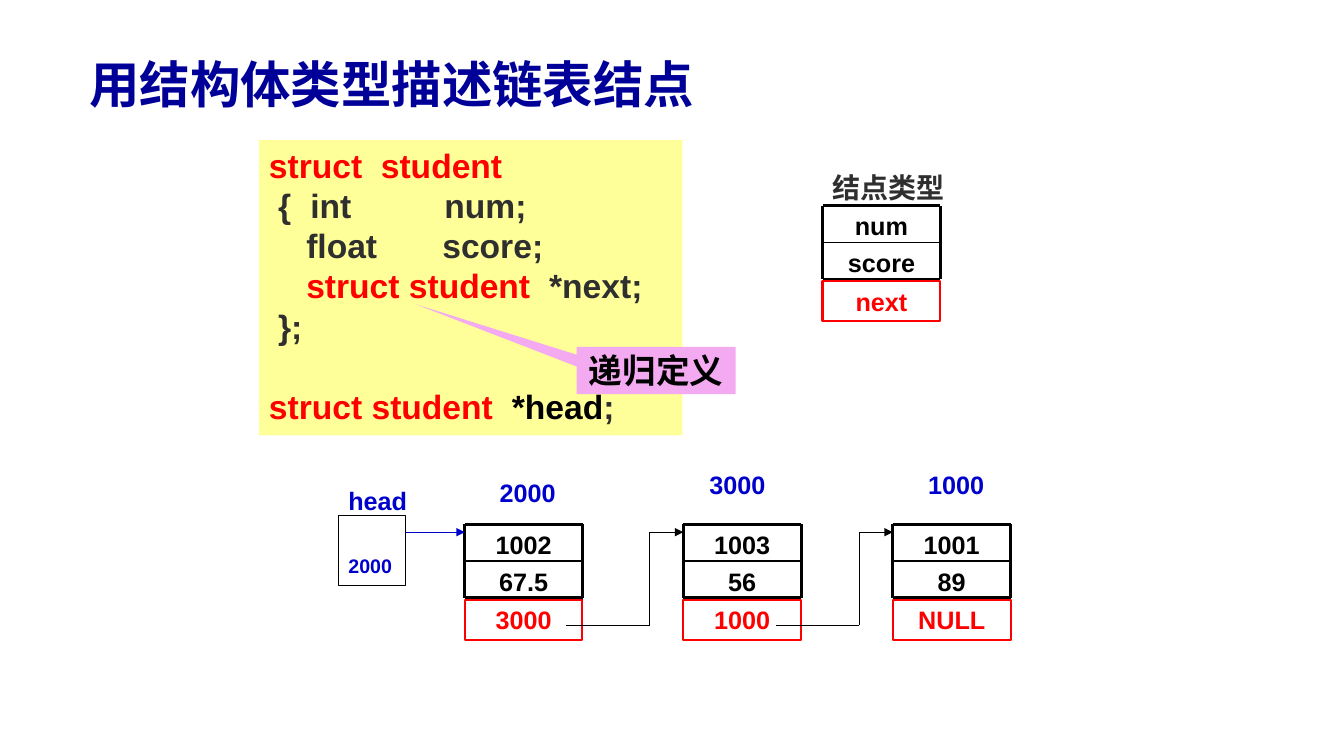
import pptx
import pptx.util
import pptx.dml.color
import pptx.enum.shapes
import pptx.enum.text
import pptx.oxml.ns
import lxml.etree

Cm = pptx.util.Cm
Pt = pptx.util.Pt
RGBColor = pptx.dml.color.RGBColor
Shape = pptx.enum.shapes.MSO_SHAPE
Anchor = pptx.enum.text.MSO_ANCHOR
Align = pptx.enum.text.PP_ALIGN
qn = pptx.oxml.ns.qn

NAVY = RGBColor(0x00, 0x00, 0x99)
BLUE = RGBColor(0x00, 0x00, 0xCC)
RED = RGBColor(0xFF, 0x00, 0x00)
BLACK = RGBColor(0x00, 0x00, 0x00)
GREY = RGBColor(0x2F, 0x2F, 0x2F)
YELLOW = RGBColor(0xFF, 0xFF, 0x99)
PINK = RGBColor(0xF4, 0xAA, 0xF0)
CHINESE_FONT = "Noto Sans CJK SC"

NODE_WIDTH, ROW_HEIGHT, NEXT_HEIGHT = 2.97, 0.93, 1.02
NEXT_OFFSET = 1.9
ARROW_OFFSET = 0.2

CODE_LINES = [
    ([("struct\tstudent", RED)], [2.82]),
    ([("\t{\tint\tnum;", GREY)], [0.23, 1.04, 4.42]),
    ([("\tfloat\tscore;", GREY)], [0.94, 4.37]),
    ([("\tstruct student", RED), ("\t*next;", GREY)], [0.94, 7.06]),
    ([("\t};", GREY)], [0.23]),
    ([("struct student", RED), ("\t*head", BLACK), (";", GREY)], [6.12]),
]
LIST_TOP = 13.21
LIST_NODES = [
    (11.71, ("1002", "67.5", "3000")),
    (17.22, ("1003", "56", "1000")),
    (22.5, ("1001", "89", "NULL")),
]
ADDRESSES = [(12.34, 11.91, "2000"), (17.63, 11.7, "3000"), (23.14, 11.7, "1000")]


def write_paragraph(paragraph, runs, size=18, font="Arial", align=Align.LEFT):
    """Fill a paragraph with bold (text, colour) runs."""
    paragraph.alignment = align
    for text, color in runs:
        run = paragraph.add_run()
        run.text = text
        run.font.size = Pt(size)
        run.font.bold = True
        run.font.name = font
        run.font.color.rgb = color
        east_asian = lxml.etree.SubElement(run.font._element, qn("a:ea"))
        east_asian.set("typeface", CHINESE_FONT)


def add_box(slide, box, fill=None, line=None, weight=0.75, kind=Shape.RECTANGLE):
    """Add a flat preset shape with an optional fill and outline."""
    shape = slide.shapes.add_shape(kind, *map(Cm, box))
    shape.shadow.inherit = False
    if fill is None:
        shape.fill.background()
    else:
        shape.fill.solid()
        shape.fill.fore_color.rgb = fill
    if line is None:
        shape.line.fill.background()
    else:
        shape.line.color.rgb = line
        shape.line.width = Pt(weight)
    return shape


def add_label(slide, box, text, color, wrap=False, top=0.13, bottom=0.13,
              anchor=Anchor.TOP, **text_format):
    """Add a text box holding one line."""
    shape = slide.shapes.add_textbox(*map(Cm, box))
    frame = shape.text_frame
    frame.word_wrap = wrap
    frame.margin_top, frame.margin_bottom = Cm(top), Cm(bottom)
    frame.vertical_anchor = anchor
    write_paragraph(frame.paragraphs[0], [(text, color)], **text_format)


def add_line(slide, start, end, color=BLACK, weight=0.75, arrow=False):
    """Draw a straight line, with an arrowhead at its end if asked."""
    connector = slide.shapes.add_connector(
        pptx.enum.shapes.MSO_CONNECTOR.STRAIGHT, *map(Cm, start + end))
    connector.line.color.rgb = color
    connector.line.width = Pt(weight)
    if arrow:
        tail = lxml.etree.SubElement(connector.line._get_or_add_ln(), qn("a:tailEnd"))
        tail.set("type", "triangle")
    lxml.etree.SubElement(connector._element.spPr, qn("a:effectLst"))


def add_code(slide, box):
    """Show the structure declaration on a yellow panel."""
    frame = add_box(slide, box, fill=YELLOW).text_frame
    frame.vertical_anchor = Anchor.TOP
    frame.margin_top = Cm(0.11)
    for index, (runs, stops) in enumerate(CODE_LINES):
        paragraph = frame.add_paragraph() if index else frame.paragraphs[0]
        write_paragraph(paragraph, runs, size=24)
        paragraph.line_spacing = Pt(28.8)
        tabs = lxml.etree.Element(qn("a:tabLst"))
        for stop in stops:
            tab = lxml.etree.SubElement(tabs, qn("a:tab"))
            tab.set("pos", str(int(Cm(stop))))
            tab.set("algn", "l")
        if index == len(CODE_LINES) - 1:
            paragraph.space_before = Pt(28.8)
        paragraph._p.get_or_add_pPr().append(tabs)


def add_node(slide, left, top, values):
    """Draw a list node: two data rows and a red pointer row."""
    right, bottom = left + NODE_WIDTH, top + 2 * ROW_HEIGHT
    *data, pointer = values
    for row, value in enumerate(data):
        add_label(slide, (left, top + row * ROW_HEIGHT, NODE_WIDTH, ROW_HEIGHT),
                  value, BLACK, wrap=True, align=Align.CENTER)
    for row, weight in enumerate((2.25, 1, 2.25)):
        y = top + row * ROW_HEIGHT
        add_line(slide, (left, y), (right, y), weight=weight)
    for x in (left, right):
        add_line(slide, (x, top), (x, bottom), weight=2.25)
    shape = add_box(slide, (left, top + NEXT_OFFSET, NODE_WIDTH, NEXT_HEIGHT),
                    line=RED, weight=1.5)
    frame = shape.text_frame
    frame.vertical_anchor = Anchor.TOP
    frame.margin_top = Cm(0.13)
    write_paragraph(frame.paragraphs[0], [(pointer, RED)], align=Align.CENTER)


def add_link(slide, target_left, top):
    """Lead from the previous node's pointer row to the node at target_left."""
    start, elbow = target_left - 2.95, target_left - 0.84
    low, high = top + 2.54, top + ARROW_OFFSET
    add_line(slide, (elbow, high), (target_left, high), arrow=True)
    add_line(slide, (start, low), (elbow, low))
    add_line(slide, (elbow, low), (elbow, high))


def add_head(slide, box, target_left, arrow_y):
    """Draw the head pointer with its name and the arrow to the first node."""
    left, top, width, height = box
    frame = add_box(slide, box, line=BLACK).text_frame
    frame.vertical_anchor = Anchor.BOTTOM
    frame.margin_bottom = Cm(0.19)
    write_paragraph(frame.paragraphs[0], [("2000", BLUE)], size=14)
    add_label(slide, (left, top - 0.89, 2.3, 1.02), "head", BLUE)
    add_line(slide, (left + width, arrow_y), (target_left, arrow_y), BLUE, arrow=True)


def add_linked_list(slide, top):
    """Draw the three linked nodes, their addresses and the head pointer."""
    for left, values in LIST_NODES:
        add_node(slide, left, top, values)
    for left, _ in LIST_NODES[1:]:
        add_link(slide, left, top)
    add_head(slide, (8.53, top - 0.21, 1.7, 1.75), LIST_NODES[0][0], top + ARROW_OFFSET)
    for left, label_top, address in ADDRESSES:
        add_label(slide, (left, label_top, 2, 1.02), address, BLUE)


def add_node_type(slide, left, top):
    """Draw the node layout under its caption."""
    add_node(slide, left, top, ("num", "score", "next"))
    add_label(slide, (left, top - 0.99, 3.5, 1.09), "结点类型", GREY, top=0.1, size=20)


def add_callout(slide, box):
    """Mark the recursive definition in the declaration."""
    callout = add_box(slide, box, fill=PINK, kind=Shape.RECTANGULAR_CALLOUT)
    callout.adjustments[0] = -1.51
    callout.adjustments[1] = -1.4
    frame = callout.text_frame
    frame.vertical_anchor = Anchor.MIDDLE
    write_paragraph(frame.paragraphs[0], [("递归定义", BLACK)], size=24, align=Align.CENTER)


def main():
    """Build the slide and save it."""
    presentation = pptx.Presentation()
    presentation.slide_width, presentation.slide_height = Cm(33.87), Cm(19.05)
    slide = presentation.slides.add_slide(presentation.slide_layouts[6])
    add_label(slide, (2, 1.27, 22.4, 1.7), "用结构体类型描述链表结点", NAVY, wrap=True,
              bottom=0.1, anchor=Anchor.BOTTOM, size=36, font=CHINESE_FONT)
    add_code(slide, (6.53, 3.53, 10.67, 7.44))
    add_linked_list(slide, LIST_TOP)
    add_node_type(slide, 20.73, 5.18)
    add_callout(slide, (14.53, 8.74, 4.01, 1.19))
    presentation.save("out.pptx")


if __name__ == "__main__":
    main()
